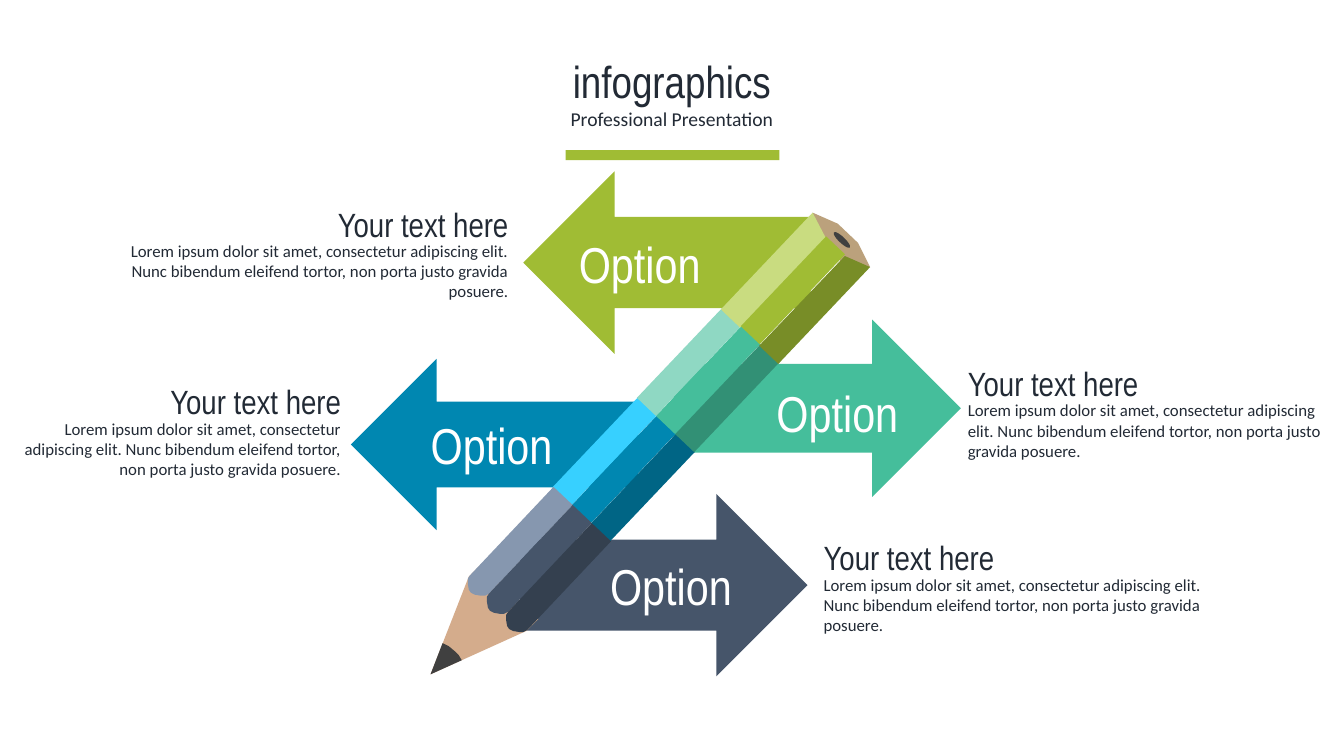
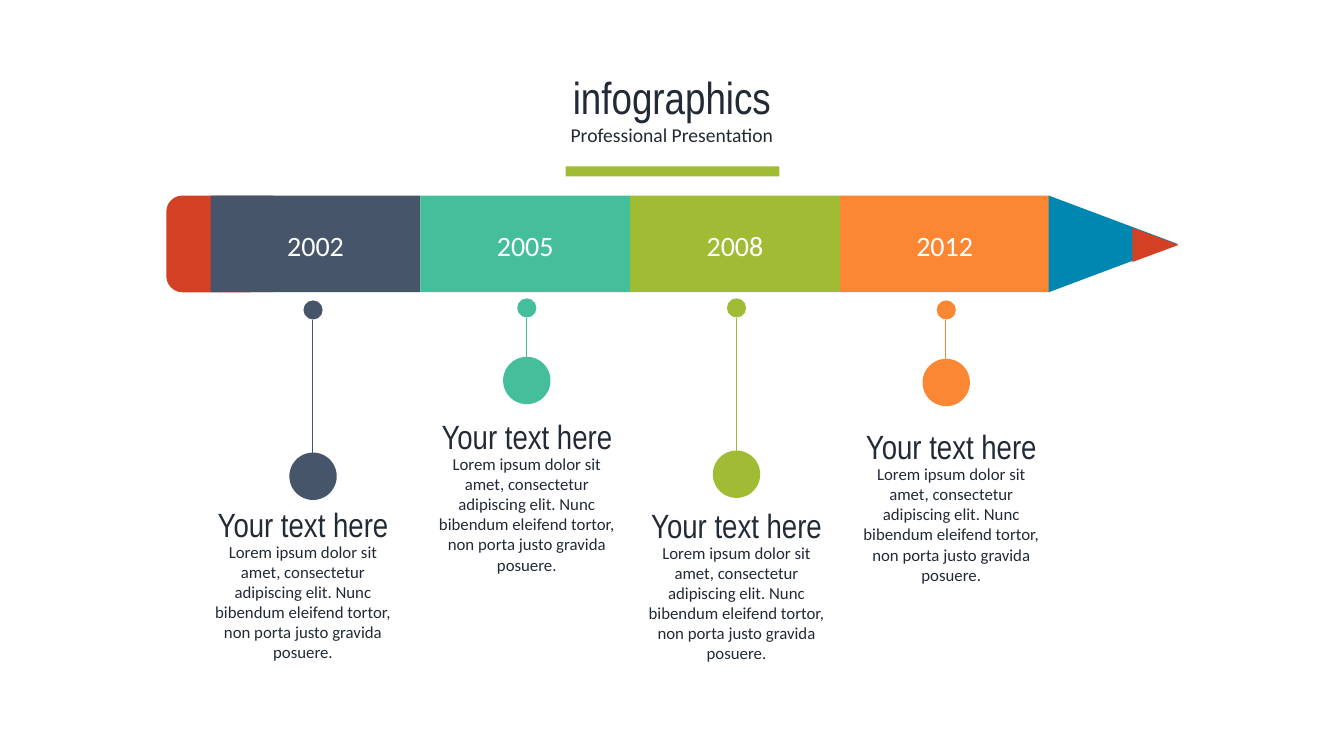
"""Build two pencil infographic slides."""
from lxml import etree
from pptx import Presentation
from pptx.dml.color import RGBColor
from pptx.enum.shapes import MSO_CONNECTOR, MSO_SHAPE
from pptx.enum.text import MSO_AUTO_SIZE, PP_ALIGN
from pptx.oxml.ns import qn
from pptx.util import Pt

PX = 9144
SLIDE_WIDTH, SLIDE_HEIGHT = 1333, 750
PENCIL_ANGLE = 313.5
FACE_STEP = (19, 18)
BAND_STEP = (84, -89)
FACE_WIDTH, FACE_HEIGHT = 123, 26
SEGMENT_WIDTH, SEGMENT_HEIGHT = 208, 96

RECTANGLE = MSO_SHAPE.RECTANGLE
ROUNDED = MSO_SHAPE.ROUNDED_RECTANGLE
TRIANGLE = MSO_SHAPE.ISOSCELES_TRIANGLE
OVAL = MSO_SHAPE.OVAL
LEFT_ARROW = MSO_SHAPE.LEFT_ARROW
RIGHT_ARROW = MSO_SHAPE.RIGHT_ARROW
STRAIGHT = MSO_CONNECTOR.STRAIGHT
GROW = MSO_AUTO_SIZE.SHAPE_TO_FIT_TEXT
LEFT, CENTER, RIGHT = PP_ALIGN.LEFT, PP_ALIGN.CENTER, PP_ALIGN.RIGHT

HEADING_FONT, BODY_FONT = "Arial Narrow", "Calibri"
INK = RGBColor(0x22, 0x2A, 0x35)
WHITE = RGBColor(0xFF, 0xFF, 0xFF)
SLATE = RGBColor(0x46, 0x55, 0x6A)
SLATE_LIGHT = RGBColor(0x86, 0x97, 0xAF)
SLATE_DARK = RGBColor(0x34, 0x40, 0x4F)
TEAL = RGBColor(0x45, 0xBE, 0x9B)
TEAL_LIGHT = RGBColor(0x8F, 0xD8, 0xC3)
TEAL_DARK = RGBColor(0x32, 0x90, 0x75)
GREEN = RGBColor(0xA0, 0xBC, 0x34)
GREEN_LIGHT = RGBColor(0xC9, 0xDC, 0x80)
GREEN_DARK = RGBColor(0x78, 0x8D, 0x27)
BLUE = RGBColor(0x00, 0x87, 0xB1)
BLUE_LIGHT = RGBColor(0x37, 0xD0, 0xFF)
BLUE_DARK = RGBColor(0x00, 0x65, 0x85)
ORANGE = RGBColor(0xFB, 0x87, 0x34)
RED = RGBColor(0xD4, 0x40, 0x24)
WOOD = RGBColor(0xD4, 0xAC, 0x8C)
WOOD_DARK = RGBColor(0xBB, 0xA1, 0x7C)
LEAD = RGBColor(0x40, 0x40, 0x40)

HEADING = "Your text here"
BODY = ("Lorem ipsum dolor sit amet, consectetur adipiscing elit. "
        "Nunc bibendum eleifend tortor, non porta justo gravida posuere.")

OPTIONS = [
    (RIGHT_ARROW, (516, 490, 285, 181), SLATE, (587, 546)),
    (RIGHT_ARROW, (668, 317, 285, 176), TEAL, (752, 374)),
    (LEFT_ARROW, (519, 170, 285, 181), GREEN, (556, 226)),
    (LEFT_ARROW, (348, 356, 285, 170), BLUE, (409, 406)),
]
OPTION_NOTES = [
    (807, 528, 409, LEFT), (950, 355, 375, LEFT),
    (105, 197, 409, RIGHT), (8, 373, 340, RIGHT),
]
BANDS = [(BLUE_LIGHT, BLUE, BLUE_DARK), (TEAL_LIGHT, TEAL, TEAL_DARK)]
WOOD_END = [(809, 236), (806, 211), (831, 222), (851, 241), (863, 265), (838, 263)]
GREEN_TOP = [(819, 236), (806, 211), (715, 307), (734, 325)]
GREEN_BOTTOM = [(863, 265), (838, 254), (753, 343), (772, 361)]
WOOD_TIP = [(522, 626), (427, 669), (465, 572), (477, 560), (534, 614)]
SLATE_FACE = [(549, 483), (466, 571), (464, 574), (464, 579), (465, 585), (467, 588),
              (471, 590), (477, 591), (481, 591), (485, 589), (568, 501)]
LEAD_TIP = [(451, 646), (445, 641), (439, 638), (427, 669), (458, 655), (455, 650)]
MILESTONES = [
    ("2002", SLATE, 310, 298, 449, 203, 495),
    ("2005", TEAL, 522, 296, 354, 425, 408),
    ("2008", GREEN, 730, 296, 447, 633, 496),
    ("2012", ORANGE, 938, 298, 356, 846, 418),
]


def paint(shape, color):
    """Give a shape a flat fill without outline or shadow."""
    shape.shadow.inherit = False
    shape.fill.solid()
    shape.fill.fore_color.rgb = color
    shape.line.fill.background()


def add_preset(slide, kind, box, color, rotation=0):
    """Add a flat preset shape."""
    shape = slide.shapes.add_shape(kind, *(length * PX for length in box))
    shape.rotation = rotation
    paint(shape, color)


def add_outline(slide, points, color):
    """Add a flat closed polygon."""
    builder = slide.shapes.build_freeform(*points[0], scale=PX)
    builder.add_line_segments(points[1:], close=True)
    paint(builder.convert_to_shape(), color)


def add_text(slide, box, text, size, font, color=INK, align=CENTER):
    """Add a wrapped text box holding one run."""
    frame = slide.shapes.add_textbox(*(length * PX for length in box)).text_frame
    frame.word_wrap = True
    frame.auto_size = GROW
    paragraph = frame.paragraphs[0]
    paragraph.alignment = align
    run = paragraph.add_run()
    run.text = text
    run.font.size = Pt(size)
    run.font.name = font
    run.font.color.rgb = color


def add_stem(slide, center, top, bottom, color):
    """Add a thin vertical line."""
    line = slide.shapes.add_connector(
        STRAIGHT, center * PX, bottom * PX, center * PX, top * PX)
    line.line.color.rgb = color
    line.line.width = Pt(0.5)
    etree.SubElement(line._element.spPr, qn("a:effectLst"))


def add_note(slide, left, top, width, height, align=CENTER):
    """Add a heading with its body text."""
    add_text(slide, (left, top + 37, width, height), BODY, 12, BODY_FONT, align=align)
    add_text(slide, (left, top, width, 50), HEADING, 24, HEADING_FONT, align=align)


def add_title(slide, top):
    """Add the title, subtitle and accent bar."""
    add_text(slide, (0, top, SLIDE_WIDTH, 64), "infographics", 32, HEADING_FONT)
    add_text(slide, (68, top + 53, 1197, 34), "Professional Presentation", 14, BODY_FONT)
    add_preset(slide, RECTANGLE, (561, top + 101, 212, 10), GREEN)


def add_face(slide, band, face, color):
    """Add one straight face of a tilted pencil band."""
    left = 538 + BAND_STEP[0] * band + FACE_STEP[0] * face
    top = 435 + BAND_STEP[1] * band + FACE_STEP[1] * face
    add_preset(slide, RECTANGLE, (left, top, FACE_WIDTH, FACE_HEIGHT), color, PENCIL_ANGLE)


def add_tilted_pencil(slide):
    """Draw the tilted pencil from its bands and both ends."""
    for band, colors in enumerate(BANDS):
        for face, color in enumerate(colors):
            add_face(slide, band, face, color)
    add_outline(slide, WOOD_END, WOOD_DARK)
    add_outline(slide, GREEN_TOP, GREEN_LIGHT)
    add_face(slide, len(BANDS), 1, GREEN)
    add_outline(slide, GREEN_BOTTOM, GREEN_DARK)
    add_preset(slide, OVAL, (832, 227, 6, 22), LEAD, PENCIL_ANGLE)
    add_outline(slide, WOOD_TIP, WOOD)
    for face, color in enumerate((SLATE_LIGHT, SLATE, SLATE_DARK)):
        points = [(x + FACE_STEP[0] * face, y + FACE_STEP[1] * face) for x, y in SLATE_FACE]
        add_outline(slide, points, color)
    add_outline(slide, LEAD_TIP, LEAD)


def add_options_slide(slide):
    """Fill the slide with four option arrows around a pencil."""
    for kind, box, color, _ in OPTIONS:
        add_preset(slide, kind, box, color)
    add_tilted_pencil(slide)
    for left, top, width, align in OPTION_NOTES:
        add_note(slide, left, top, width, 71, align)
    for _, _, _, position in OPTIONS:
        add_text(slide, (*position, 157, 71), "Option", 36, HEADING_FONT, WHITE)
    add_title(slide, 48)


def add_timeline_slide(slide):
    """Fill the slide with a pencil timeline and its milestones."""
    add_preset(slide, ROUNDED, (165, 194, 120, SEGMENT_HEIGHT), RED)
    for index, milestone in enumerate(MILESTONES):
        year, color, center, dot_top, disc_top, note_left, note_top = milestone
        left = 209 + SEGMENT_WIDTH * index
        add_preset(slide, RECTANGLE, (left, 194, SEGMENT_WIDTH, SEGMENT_HEIGHT), color)
        add_text(slide, (left, 222, SEGMENT_WIDTH, 44), year, 20, BODY_FONT, WHITE)
        add_preset(slide, OVAL, (center - 9, dot_top, 19, 19), color)
        add_stem(slide, center, dot_top + 19, disc_top + 4, color)
        add_preset(slide, OVAL, (center - 23, disc_top, 47, 47), color)
        add_note(slide, note_left, note_top, 195, 131)
    add_preset(slide, TRIANGLE, (1056, 178, SEGMENT_HEIGHT, 128), BLUE, 90)
    add_preset(slide, TRIANGLE, (1129, 220, 34, 46), RED, 90)
    add_title(slide, 64)


def main():
    """Build and save the presentation."""
    presentation = Presentation()
    presentation.slide_width = SLIDE_WIDTH * PX
    presentation.slide_height = SLIDE_HEIGHT * PX
    blank = presentation.slide_layouts[6]
    for fill_slide in (add_options_slide, add_timeline_slide):
        fill_slide(presentation.slides.add_slide(blank))
    presentation.save("out.pptx")


if __name__ == "__main__":
    main()
